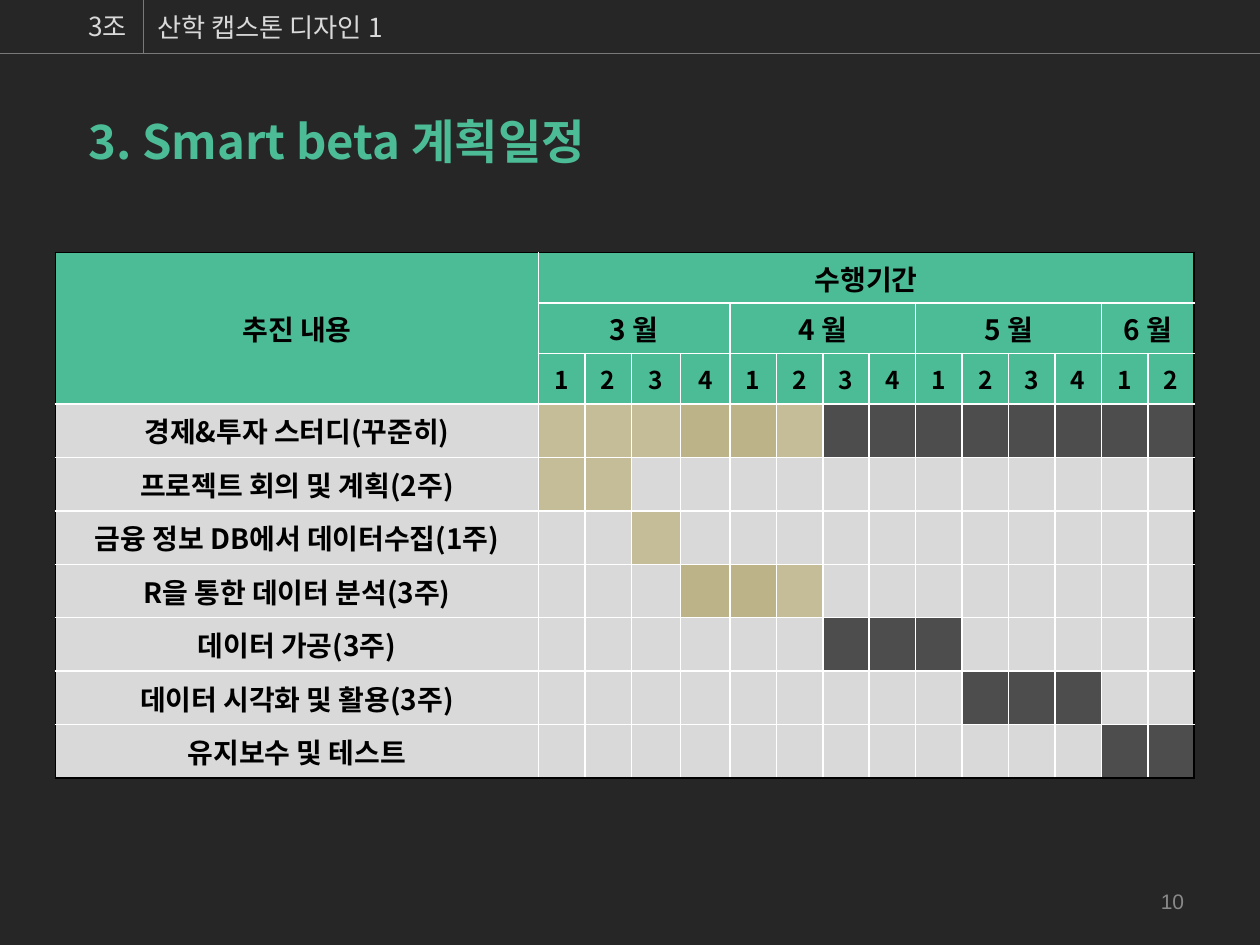
from dataclasses import dataclass

from lxml.etree import SubElement
from pptx import Presentation
from pptx.dml.color import RGBColor
from pptx.enum.shapes import MSO_CONNECTOR
from pptx.enum.text import MSO_ANCHOR, MSO_AUTO_SIZE, PP_ALIGN
from pptx.oxml.ns import qn
from pptx.util import Pt

FONT = "Noto Sans CJK KR"
GREEN, GREY, DARK = "4CBC97", "D9D9D9", "4D4D4D"
SAND, DEEP_SAND = "C4BD97", "BCB488"
BLACK, WHITE = "000000", "FFFFFF"


@dataclass
class Label:
    text: str
    left: float
    top: float
    width: float
    height: float
    size: float
    color: str
    font: str = FONT
    bold: bool = False
    align: PP_ALIGN = PP_ALIGN.LEFT
    anchor: MSO_ANCHOR = MSO_ANCHOR.TOP


@dataclass
class Header:
    text: str
    row: int
    col: int
    rows: int = 1
    cols: int = 1
    size: float = 16


@dataclass
class Task:
    name: str
    start: int
    fills: list[str]


@dataclass
class Rule:
    x1: float
    y1: float
    x2: float
    y2: float


MONTHS = [("3 월", 4), ("4 월", 4), ("5 월", 4), ("6 월", 2)]
TASKS = [
    Task("경제&투자 스터디(꾸준히)", 1, [SAND] * 3 + [DEEP_SAND] * 2 + [SAND] + [DARK] * 8),
    Task("프로젝트 회의 및 계획(2주)", 1, [SAND] * 2),
    Task("금융 정보 DB에서 데이터수집(1주)", 3, [SAND]),
    Task("R을 통한 데이터 분석(3주)", 4, [DEEP_SAND] * 2 + [SAND]),
    Task("데이터 가공(3주)", 7, [DARK] * 3),
    Task("데이터 시각화 및 활용(3주)", 10, [DARK] * 3),
    Task("유지보수 및 테스트", 13, [DARK] * 2),
]
WEEKS = sum(weeks for _, weeks in MONTHS)
HEADER_ROWS = 3
ROWS, COLS = HEADER_ROWS + len(TASKS), WEEKS + 1
COL_WIDTHS = [276] + [28.2 if week in (3, 4) else 26.55 for week in range(1, COLS)]
ROW_HEIGHTS = [28.85] * HEADER_ROWS + [30.55] * len(TASKS)


def rgb(color: str) -> RGBColor:
    return RGBColor.from_string(color)


def style(p, size: float, color: str, bold: bool, align: PP_ALIGN, font: str = FONT) -> None:
    p.alignment = align
    p.font.name = font
    p.font.size = Pt(size)
    p.font.bold = bold
    p.font.color.rgb = rgb(color)
    SubElement(p._p.pPr.find(qn("a:defRPr")), qn("a:ea"), typeface=font)


def place_label(sp, label: Label) -> None:
    sp.left, sp.top = Pt(label.left), Pt(label.top)
    sp.width, sp.height = Pt(label.width), Pt(label.height)
    tf = sp.text_frame
    tf.word_wrap = True
    tf.auto_size = MSO_AUTO_SIZE.NONE
    tf.vertical_anchor = label.anchor
    tf.text = label.text
    style(tf.paragraphs[0], label.size, label.color, label.bold, label.align, label.font)


def add_rule(s, rule: Rule) -> None:
    line = s.shapes.add_connector(
        MSO_CONNECTOR.STRAIGHT, Pt(rule.x1), Pt(rule.y1), Pt(rule.x2), Pt(rule.y2)
    )
    line.line.color.rgb = rgb("797979")
    line.line.width = Pt(0.75)
    SubElement(line._element.spPr, qn("a:effectLst"))


def set_borders(cell, row: int, col: int) -> None:
    outer = {
        "L": col == 0,
        "R": col + cell.span_width == COLS,
        "T": row == 0,
        "B": row + cell.span_height == ROWS,
    }
    tc_pr = cell._tc.get_or_add_tcPr()
    for i, (side, is_outer) in enumerate(outer.items()):
        ln = tc_pr.makeelement(qn(f"a:ln{side}"), {"w": str(Pt(1))})
        fill = SubElement(ln, qn("a:solidFill"))
        SubElement(fill, qn("a:srgbClr"), val=BLACK if is_outer else WHITE)
        tc_pr.insert(i, ln)


def format_cell(cell, row: int, col: int, fill: str) -> None:
    cell.fill.solid()
    cell.fill.fore_color.rgb = rgb(fill)
    cell.vertical_anchor = MSO_ANCHOR.MIDDLE
    cell.margin_left = cell.margin_right = Pt(1.44)
    cell.margin_top = cell.margin_bottom = Pt(1.44)
    if not cell.is_spanned:
        set_borders(cell, row, col)


def write_cell(cell, text: str, size: float = 16) -> None:
    cell.text = text
    style(cell.text_frame.paragraphs[0], size, BLACK, True, PP_ALIGN.CENTER)


def build_headers() -> list[Header]:
    headers = [
        Header("추진 내용", 0, 0, rows=HEADER_ROWS),
        Header("수행기간", 0, 1, cols=WEEKS),
    ]
    col = 1
    for month, weeks in MONTHS:
        headers.append(Header(month, 1, col, cols=weeks))
        headers += [Header(str(i + 1), 2, col + i, size=14) for i in range(weeks)]
        col += weeks
    return headers


def add_schedule(s) -> None:
    frame = s.shapes.add_table(
        ROWS, COLS, Pt(31.7), Pt(144.4), Pt(sum(COL_WIDTHS)), Pt(sum(ROW_HEIGHTS))
    )
    table = frame.table
    table.first_row = table.horz_banding = False
    for column, width in zip(table.columns, COL_WIDTHS):
        column.width = Pt(width)
    for table_row, height in zip(table.rows, ROW_HEIGHTS):
        table_row.height = Pt(height)

    for h in build_headers():
        cell = table.cell(h.row, h.col)
        if h.rows * h.cols > 1:
            cell.merge(table.cell(h.row + h.rows - 1, h.col + h.cols - 1))
        write_cell(cell, h.text, h.size)

    fills = [[GREEN] * COLS for _ in range(HEADER_ROWS)]
    for row, task in enumerate(TASKS, HEADER_ROWS):
        write_cell(table.cell(row, 0), task.name)
        rest = COLS - task.start - len(task.fills)
        fills.append([GREY] * task.start + task.fills + [GREY] * rest)
    for row, row_fills in enumerate(fills):
        for col, fill in enumerate(row_fills):
            format_cell(table.cell(row, col), row, col, fill)


def main() -> None:
    prs = Presentation()
    prs.slide_width, prs.slide_height = Pt(720), Pt(540)
    s = prs.slides.add_slide(prs.slide_layouts[5])
    s.background.fill.solid()
    s.background.fill.fore_color.rgb = rgb("262626")

    add_schedule(s)
    for rule in (Rule(0, 30.7, 720, 30.7), Rule(82, 0, 82, 30.7)):
        add_rule(s, rule)

    title = Label("3. Smart beta 계획일정", 43.2, 60.5, 430.6, 39.6, 27, GREEN, bold=True)
    place_label(s.shapes.title, title)
    labels = [
        Label("3조", 43.2, 2.2, 51, 25.2, 15, GREY),
        Label("산학 캡스톤 디자인 1", 82.8, 2.9, 272.2, 24.5, 15, GREY),
        Label("10", 516, 500.4, 167.8, 28.8, 12, "898989", "Arial",
              align=PP_ALIGN.RIGHT, anchor=MSO_ANCHOR.MIDDLE),
    ]
    for label in labels:
        place_label(s.shapes.add_textbox(0, 0, 0, 0), label)

    prs.save("out.pptx")


if __name__ == "__main__":
    main()
